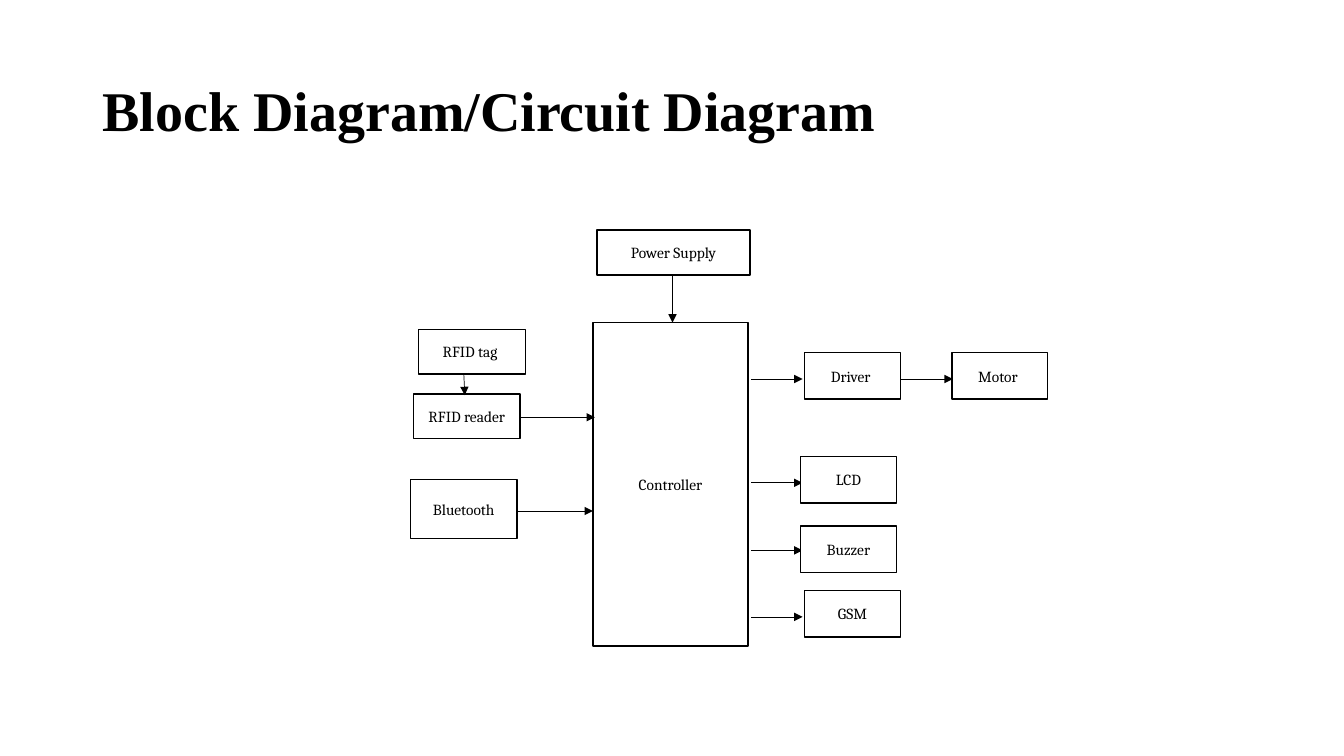
from lxml.etree import SubElement as Sub
from pptx import Presentation
from pptx.dml.color import RGBColor as RGB
from pptx.enum.shapes import MSO_CONNECTOR as Conn, MSO_SHAPE as Shape
from pptx.enum.text import MSO_ANCHOR as Anchor, PP_ALIGN as Align
from pptx.oxml.ns import qn
from pptx.util import Pt

SCALE = 9144  # EMU in one px, at 100 px to the inch


def px(n):
    return n * SCALE


def color(code):
    return RGB.from_string(code)


def write(frame, text, font="Cambria", size=11, ink="000000",
          bold=False, align=Align.CENTER, space=1.0):
    frame.word_wrap = True
    frame.vertical_anchor = Anchor.MIDDLE
    para = frame.paragraphs[0]
    para.alignment = align
    para.line_spacing = space
    run = para.add_run()
    run.text = text
    run.font.name = font
    run.font.size = Pt(size)
    run.font.bold = bold
    run.font.color.rgb = color(ink)


class Chart:
    ink = "000000"
    paper = "FFFFFF"

    def __init__(self, slide):
        self.shapes = slide.shapes

    def title(self, text, x, y, w, h):
        box = self.shapes.add_textbox(px(x), px(y), px(w), px(h))
        write(box.text_frame, text, font="Times New Roman", size=40,
              ink=self.ink, bold=True, align=Align.LEFT, space=0.9)

    def block(self, text, x, y, w, h):
        box = self.shapes.add_shape(Shape.RECTANGLE, px(x), px(y), px(w), px(h))
        box.shadow.inherit = False
        box.fill.solid()
        box.fill.fore_color.rgb = color(self.paper)
        box.line.color.rgb = color(self.ink)
        box.line.width = Pt(1)
        write(box.text_frame, text, ink=self.ink)

    def arrow(self, x1, y1, x2, y2):
        link = self.shapes.add_connector(
            Conn.STRAIGHT, px(x1), px(y1), px(x2), px(y2))
        link.line.color.rgb = color(self.ink)
        link.line.width = Pt(0.5)
        Sub(link.line._get_or_add_ln(), qn("a:tailEnd"), type="triangle")
        Sub(link._element.spPr, qn("a:effectLst"))


def main():
    deck = Presentation()
    deck.slide_width, deck.slide_height = px(1333), px(750)
    chart = Chart(deck.slides.add_slide(deck.slide_layouts[6]))

    chart.title("Block Diagram/Circuit Diagram", 92, 40, 1150, 145)

    # Board, supply and inputs
    chart.block("Controller", 588, 320, 154, 321)
    chart.block("Power Supply", 592, 228, 152, 45)
    for text, x, y, h in (("RFID tag ", 415, 327, 44),
                          ("RFID reader", 410, 391, 44),
                          ("Bluetooth", 407, 476, 58)):
        chart.block(text, x, y, 106, h)

    # Arrows into the board
    chart.arrow(667, 273, 667, 320)
    chart.arrow(460, 371, 461, 392)
    chart.arrow(516, 414, 590, 414)
    chart.arrow(514, 507, 588, 507)

    # Arrows to the outputs, all of one length
    for x, y in ((745, 376), (894, 376), (745, 479), (745, 546), (745, 612)):
        chart.arrow(x, y, x + 51, y)

    # Outputs, all of one size
    for text, x, y in (("Driver ", 798, 350), ("Motor ", 944, 350),
                       ("LCD", 794, 453), ("Buzzer", 794, 522),
                       ("GSM", 798, 586)):
        chart.block(text, x, y, 95, 46)

    deck.save("out.pptx")


if __name__ == "__main__":
    main()
